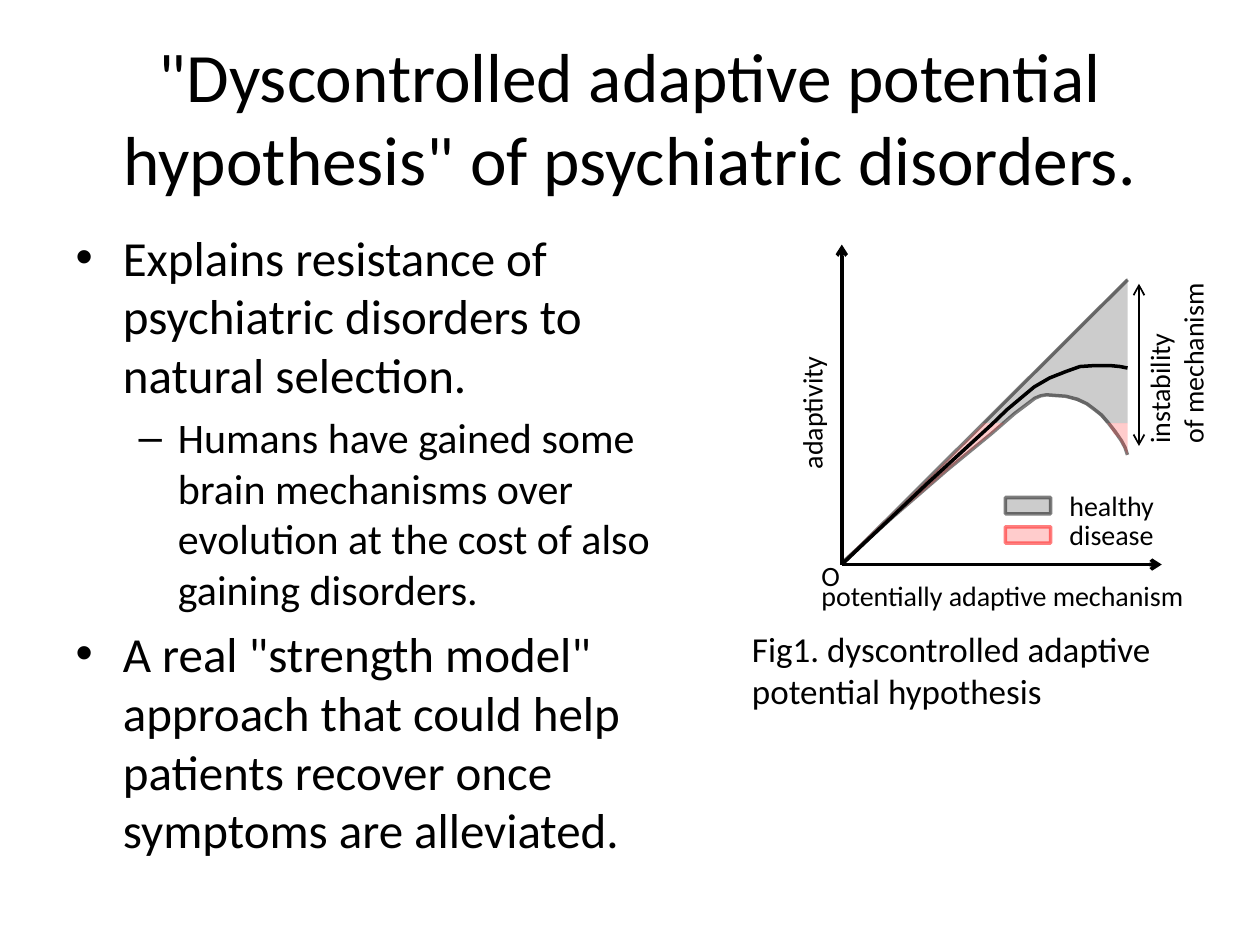
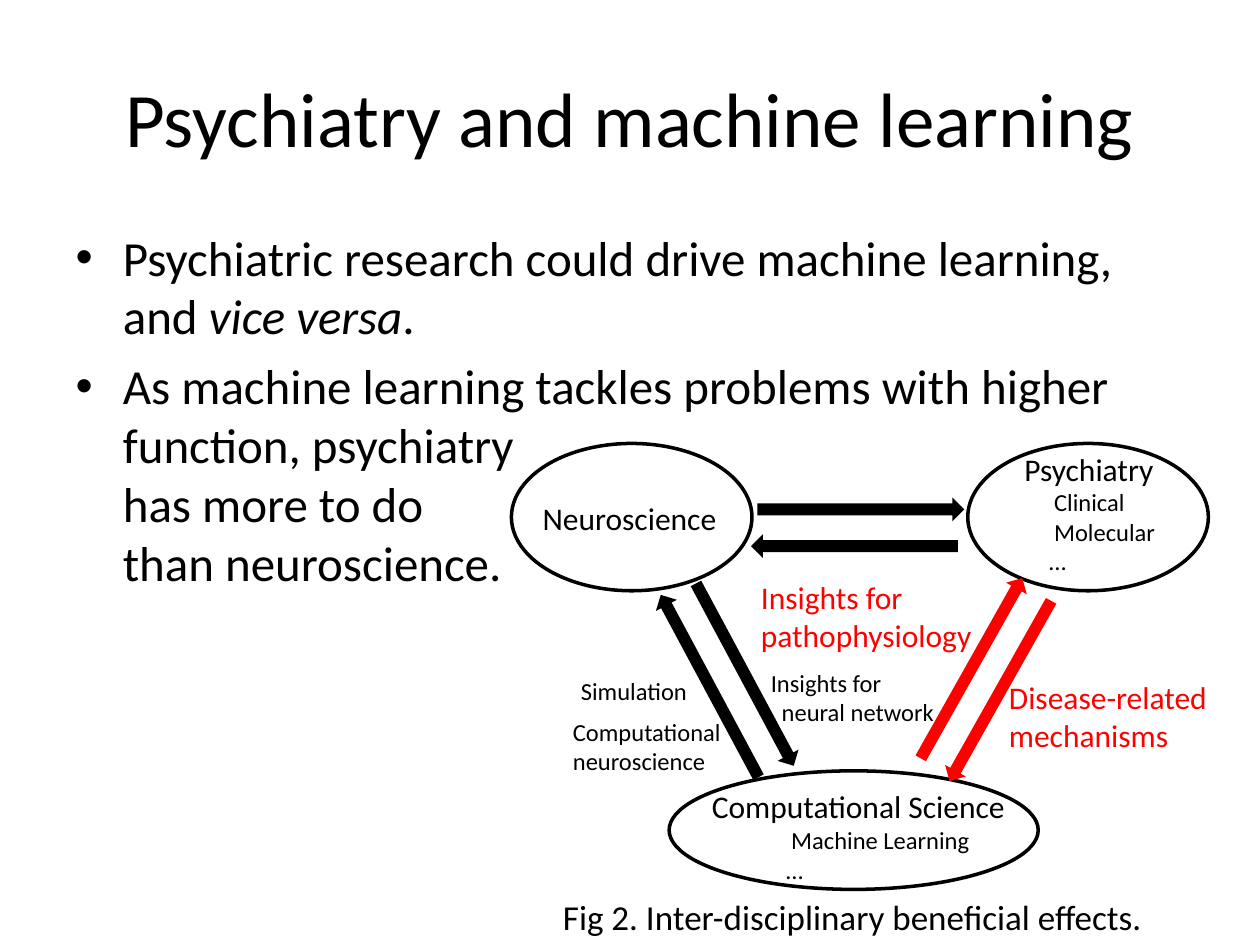
"""Builds two slides on psychiatric disorders and machine learning."""
from lxml.etree import SubElement
from pptx import Presentation
from pptx.dml.color import RGBColor
from pptx.enum.shapes import MSO_CONNECTOR, MSO_SHAPE
from pptx.enum.text import MSO_ANCHOR, MSO_AUTO_SIZE, PP_ALIGN
from pptx.oxml.ns import qn
from pptx.util import Cm, Pt

BLACK, RED = "000000", "FF0000"
FACE = {"name": "Calibri", "italic": False}
FRAME = {"word_wrap": True, "auto_size": MSO_AUTO_SIZE.NONE}


def tint(fill, hue, alpha=100):
    """Gives a shape, line or font fill a colour and an opacity."""
    fill.solid()
    fill.fore_color.rgb = RGBColor.from_string(hue)
    if alpha < 100:
        node = fill._xPr.find(".//" + qn("a:srgbClr"))
        SubElement(node, qn("a:alpha")).set("val", str(alpha * 1000))


def style(run, size, hue=BLACK, **more):
    """Sets the font of a run."""
    for key, val in {**FACE, "size": Pt(size), **more}.items():
        setattr(run.font, key, val)
    tint(run.font.fill, hue)


deck = Presentation()
deck.slide_width, deck.slide_height = Cm(25.4), Cm(19.05)

pages = [
    ('"Dyscontrolled adaptive potential hypothesis" of psychiatric disorders.', 39.6, 13.64, [
        (0, 28, ["Explains resistance of psychiatric disorders to natural selection."]),
        (1, 24, ["Humans have gained some brain mechanisms over evolution "
                 "at the cost of also gaining disorders."]),
        (0, 28, ['A real "strength model" approach that could help patients '
                 "recover once symptoms are alleviated."]),
    ]),
    ("Psychiatry and machine learning", 44, 22.86, [
        (0, 28, ["Psychiatric research could drive machine learning, and ", "vice versa", "."]),
        (0, 28, ["As machine learning tackles problems with higher function, "
                 "psychiatry\vhas more to do\vthan neuroscience."]),
    ]),
]
slides = []
for head, size, width, items in pages:
    slide = deck.slides.add_slide(deck.slide_layouts[1])
    slides.append(slide)
    title, body = slide.placeholders
    for box, top, wide, high in ((title, 0.76, 22.86, 3.18), (body, 4.45, width, 12.57)):
        box.left, box.top, box.width, box.height = Cm(1.27), Cm(top), Cm(wide), Cm(high)
        for key, val in FRAME.items():
            setattr(box.text_frame, key, val)
    title.text_frame.vertical_anchor = MSO_ANCHOR.MIDDLE
    title.text_frame.text = head
    title.text_frame.paragraphs[0].alignment = PP_ALIGN.CENTER
    style(title.text_frame.paragraphs[0].runs[0], size)
    for num, (level, size, parts) in enumerate(items):
        frame = body.text_frame
        para = frame.add_paragraph() if num else frame.paragraphs[0]
        para.level = level
        para.text = parts[0]
        for part in parts[1:]:
            para.add_run().text = part
        for run in para.runs:
            style(run, size, italic=run.text == "vice versa")

graph, cycle = slides
marks = []

origin = (16.97, 11.38)
lines = [
    (origin, (16.97, 4.93), 2, 100, ["tailEnd"]),
    (origin, (22.73, 5.64), 2, 50, []),
    (origin, (23.42, 11.38), 2, 100, ["tailEnd"]),
    ((22.96, 5.72), (22.96, 8.99), 1, 100, ["headEnd", "tailEnd"]),
]
for start, end, weight, alpha, tips in lines:
    line = graph.shapes.add_connector(
        MSO_CONNECTOR.STRAIGHT, *[Cm(n) for n in start + end])
    marks.append((line, None, 100, BLACK, alpha, weight, tips))

lower = [(1697, 1135), (1798, 1044), (1910, 947), (1999, 874), (2045, 834), (2073, 813),
         (2086, 803), (2098, 798), (2110, 796), (2123, 797), (2149, 799), (2172, 805),
         (2191, 814), (2207, 826), (2221, 837), (2233, 851), (2248, 870), (2261, 889),
         (2268, 902), (2273, 917)]
strip = [(1709, 1120), (1811, 1024), (1935, 902), (1984, 853), (2024, 853), (1935, 927),
         (1880, 975), (1806, 1039), (1745, 1087)]
tip = [(2233, 853), (2273, 853), (2273, 917), (2266, 904), (2256, 884), (2245, 874)]
fan = [(1981, 853), (2273, 561), (2273, 853), (2230, 853), (2215, 836), (2200, 823),
       (2187, 815), (2169, 808), (2144, 800), (2126, 800), (2106, 798), (2088, 803),
       (2078, 808), (2065, 818), (2052, 828), (2027, 848), (2022, 853)]
mean = [(1697, 1138), (1869, 975), (1999, 856), (2030, 826), (2055, 805), (2085, 780),
        (2116, 762), (2149, 749), (2177, 739), (2207, 737), (2238, 737), (2258, 739),
        (2273, 742)]
for dots, fill, line, alpha in [
    (lower, None, BLACK, 50), (strip, RED, None, 100), (tip, RED, None, 100),
    (fan, BLACK, None, 100), (mean, None, BLACK, 100),
]:
    pen = graph.shapes.build_freeform(*dots[0], scale=Cm(0.01))
    pen.add_line_segments(dots[1:], close=fill is not None)
    marks.append((pen.convert_to_shape(), fill, 20, line, alpha, 2, []))

for top, hue in ((10.03, BLACK), (10.62, RED)):
    key = graph.shapes.add_shape(
        MSO_SHAPE.RECTANGLE, Cm(20.27), Cm(top), Cm(0.91), Cm(0.33))
    marks.append((key, hue, 20, hue, 50, 2, []))

for spot in [(19.51, 8.94, 4.85, 2.97), (10.31, 8.94, 4.85, 2.97), (13.49, 15.54, 7.44, 2.39)]:
    oval = cycle.shapes.add_shape(MSO_SHAPE.OVAL, *[Cm(n) for n in spot])
    marks.append((oval, None, 100, BLACK, 100, 2, []))

for left, top, turn, hue in [
    (15.27, 10.03, 0, BLACK), (15.14, 10.77, 180, BLACK),
    (12.93, 13.36, 61.8, BLACK), (12.22, 13.59, 241.8, BLACK),
    (18.08, 13.69, 119.4, RED), (17.5, 13.23, 299.4, RED),
]:
    arrow = cycle.shapes.add_shape(
        MSO_SHAPE.RIGHT_ARROW, Cm(left), Cm(top), Cm(4.17), Cm(0.48))
    arrow.rotation = turn
    marks.append((arrow, hue, 100, None, 100, 0, []))

for mark, fill, clear, line, alpha, weight, tips in marks:
    if fill:
        tint(mark.fill, fill, clear)
    elif hasattr(mark, "fill"):
        mark.fill.background()
    if line:
        mark.line.width = Pt(weight)
        tint(mark.line.fill, line, alpha)
    else:
        mark.line.fill.background()
    props = mark._element.spPr
    for end in tips:
        SubElement(props.find(qn("a:ln")), qn("a:" + end)).set("type", "arrow")
    SubElement(props, qn("a:effectLst"))

labels = [
    (graph, (16.31, 11.53, 8.61, 0.94), 0, BLACK, [("potentially adaptive mechanism", 16, 0)]),
    (graph, (14.88, 7.75, 2.97, 0.94), 270, BLACK, [("adaptivity", 16, 0)]),
    (graph, (16.31, 11.13, 0.56, 0.94), 0, BLACK, [("O", 16, 0)]),
    (graph, (21.39, 6.05, 4.65, 1.63), 270, BLACK, [("instability\vof mechanism", 16, 0)]),
    (graph, (21.31, 10.31, 3, 0.94), 0, BLACK, [("disease", 16, 0)]),
    (graph, (21.31, 9.73, 3, 0.94), 0, BLACK, [("healthy", 16, 0)]),
    (graph, (14.91, 12.52, 10.49, 1.96), 0, BLACK,
     [("Fig1. dyscontrolled adaptive potential hypothesis", 20, 0)]),
    (cycle, (20.4, 8.94, 3.4, 2.82), 0, BLACK,
     [("Psychiatry", 18, 0), ("Clinical", 14, 0.6), ("Molecular", 14, 0.6), ("…", 14, 0.5)]),
    (cycle, (10.69, 9.93, 4.1, 1.02), 0, BLACK, [("Neuroscience", 18, 0)]),
    (cycle, (14.1, 15.75, 6.6, 2.24), 0, BLACK,
     [("Computational Science", 18, 0), ("Machine Learning", 14, 1.6), ("…", 14, 1.5)]),
    (cycle, (11.3, 14.33, 3.6, 1.45), 0, BLACK, [("Computational\vneuroscience", 14, 0)]),
    (cycle, (11.46, 13.51, 2.8, 0.86), 0, BLACK, [("Simulation", 14, 0)]),
    (cycle, (15.29, 13.34, 4.1, 1.45), 0, BLACK,
     [("Insights for", 14, 0), ("neural network", 14, 0.22)]),
    (cycle, (20.09, 13.54, 4.7, 1.8), 0, RED, [("Disease-related\vmechanisms", 18, 0)]),
    (cycle, (15.09, 11.53, 4.9, 1.8), 0, RED, [("Insights for\vpathophysiology", 18, 0)]),
    (cycle, (11.1, 17.93, 12.5, 1.12), 0, BLACK,
     [("Fig 2. Inter-disciplinary beneficial effects.", 20, 0)]),
]
for slide, spot, turn, hue, rows in labels:
    box = slide.shapes.add_textbox(*[Cm(n) for n in spot])
    box.rotation = turn
    frame = box.text_frame
    for key, val in FRAME.items():
        setattr(frame, key, val)
    for num, (text, size, indent) in enumerate(rows):
        para = frame.add_paragraph() if num else frame.paragraphs[0]
        para.text = text
        if indent:
            para._p.get_or_add_pPr().set("marL", str(Cm(indent)))
        for run in para.runs:
            style(run, size, hue)

deck.save("out.pptx")
